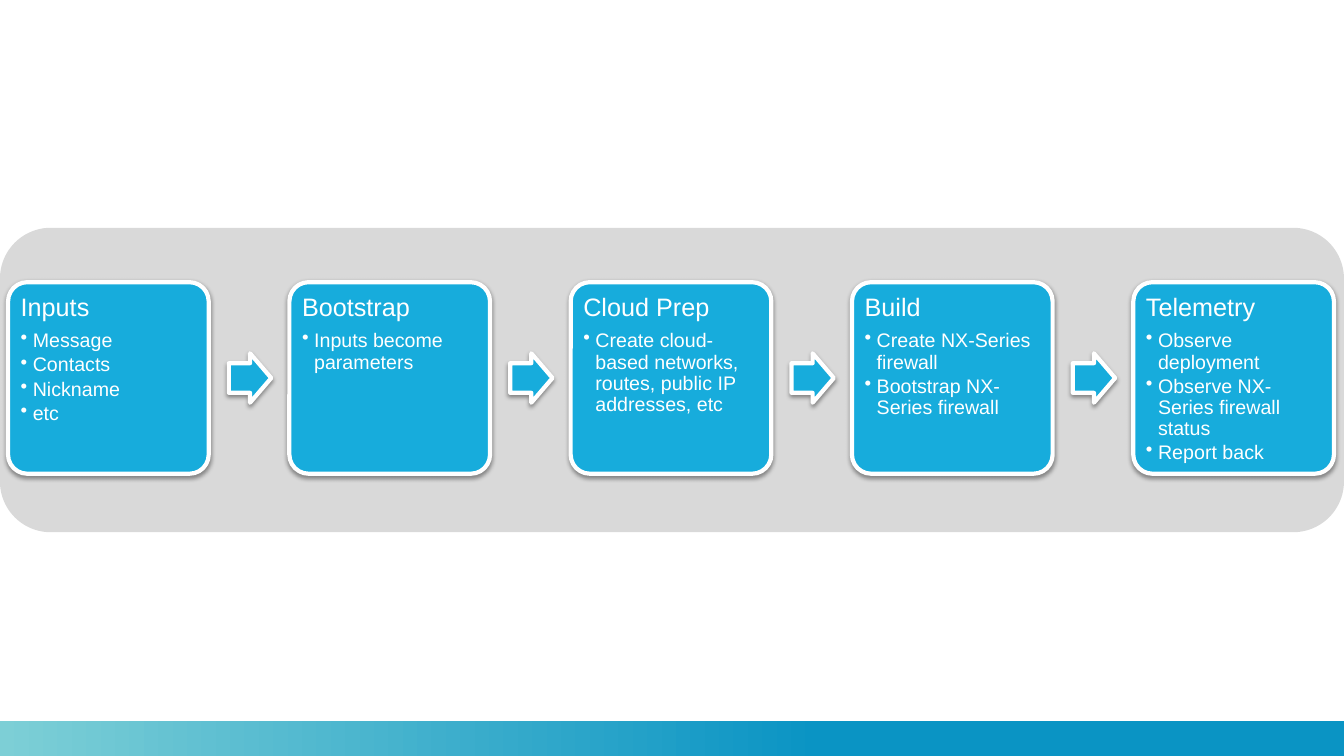
from lxml import etree
from pptx import Presentation
from pptx.dml.color import RGBColor
from pptx.enum.shapes import MSO_SHAPE
from pptx.enum.text import MSO_ANCHOR, PP_ALIGN
from pptx.oxml.ns import qn
from pptx.util import Inches, Pt

ROUNDED = MSO_SHAPE.ROUNDED_RECTANGLE
RECTANGLE = MSO_SHAPE.RECTANGLE
RIGHT_ARROW = MSO_SHAPE.RIGHT_ARROW
TOP = MSO_ANCHOR.TOP
LEFT = PP_ALIGN.LEFT

FONT = "Arial"
WHITE, BLUE, GREY = "FFFFFF", "17ACDC", "D9D9D9"
FOOTER_DARK, FOOTER_LIGHT = "0A94C4", "7DCFD6"
SLIDE_WIDTH, SLIDE_HEIGHT = 13.33, 7.5

STEPS = [
    ("Inputs", ["Message", "Contacts", "Nickname", "etc"]),
    ("Bootstrap", ["Inputs become parameters"]),
    ("Cloud Prep", ["Create cloud-based networks, routes, public IP addresses, etc"]),
    ("Build", ["Create NX-Series firewall", "Bootstrap NX-Series firewall"]),
    ("Telemetry", ["Observe deployment", "Observe NX-Series firewall status", "Report back"]),
]


def color(hex_string):
    return RGBColor.from_string(hex_string)


def add_plain_shape(slide, kind, left, top, width, height, fill=None):
    shape = slide.shapes.add_shape(
        kind, Inches(left), Inches(top), Inches(width), Inches(height))
    shape.shadow.inherit = False
    shape.line.fill.background()
    if fill:
        shape.fill.solid()
        shape.fill.fore_color.rgb = color(fill)
    return shape


def add_raised_shape(slide, kind, left, top, width, height):
    """Blue shape with a white outline and a soft shadow below."""
    shape = add_plain_shape(slide, kind, left, top, width, height, BLUE)
    shape.line.color.rgb = color(WHITE)
    shape.line.width = Pt(3)
    effects = shape._element.spPr.find(qn("a:effectLst"))
    shadow = etree.SubElement(
        effects, qn("a:outerShdw"), blurRad=str(Pt(3.1)), dist=str(Pt(1.6)),
        dir="5400000", rotWithShape="0")
    shadow_color = etree.SubElement(shadow, qn("a:srgbClr"), val="000000")
    etree.SubElement(shadow_color, qn("a:alpha"), val="38000")
    return shape


def format_paragraph(paragraph, size, space_after):
    paragraph.alignment = LEFT
    paragraph.line_spacing = 0.9
    paragraph.space_after = Pt(space_after)
    for run in paragraph.runs:
        run.font.name = FONT
        run.font.size = Pt(size)
        run.font.color.rgb = color(WHITE)


def add_bullet(paragraph):
    paragraph.level = 1
    properties = paragraph._p.get_or_add_pPr()
    properties.set("marL", str(Inches(0.12)))
    properties.set("indent", str(-Inches(0.12)))
    etree.SubElement(properties, qn("a:buChar"), char="•")


def add_card(slide, left, top, width, height, heading, items):
    card = add_raised_shape(slide, ROUNDED, left, top, width, height)
    card.adjustments[0] = 0.1
    frame = card.text_frame
    frame.word_wrap = True
    frame.vertical_anchor = TOP
    frame.margin_left = frame.margin_right = Inches(0.07)
    frame.margin_top = frame.margin_bottom = Inches(0.07)
    frame.text = heading
    format_paragraph(frame.paragraphs[0], 18, 6.3)
    for item in items:
        paragraph = frame.add_paragraph()
        paragraph.text = item
        format_paragraph(paragraph, 14, 2.1)
        add_bullet(paragraph)


def add_process(slide, left, top, width, height):
    """Grey band with one card per step and arrows between the cards."""
    add_plain_shape(slide, ROUNDED, left, top, width, height, GREY)
    card_width, card_height, pitch = 1.99, 1.9, 2.79
    arrow_width, arrow_height, arrow_gap = 0.42, 0.49, 0.2
    card_top = top + 0.54
    arrow_top = card_top + (card_height - arrow_height) / 2
    for index, (heading, items) in enumerate(STEPS):
        card_left = left + 0.08 + index * pitch
        add_card(slide, card_left, card_top, card_width, card_height, heading, items)
        if index < len(STEPS) - 1:
            arrow = add_raised_shape(
                slide, RIGHT_ARROW, card_left + card_width + arrow_gap, arrow_top,
                arrow_width, arrow_height)
            arrow.adjustments[0] = 0.6
            arrow.adjustments[1] = 0.5


def add_footer(slide, left, top, width, height):
    """Gradient strip, light at the left."""
    footer = add_plain_shape(slide, RECTANGLE, left, top, width, height)
    footer.fill.gradient()
    footer.fill.gradient_angle = 180
    stops = [(0.39, FOOTER_DARK), (1, FOOTER_LIGHT)]
    for stop, (position, shade) in zip(footer.fill.gradient_stops, stops):
        stop.position = position
        stop.color.rgb = color(shade)


def main():
    presentation = Presentation()
    presentation.slide_width = Inches(SLIDE_WIDTH)
    presentation.slide_height = Inches(SLIDE_HEIGHT)
    slide = presentation.slides.add_slide(presentation.slide_layouts[6])
    add_footer(slide, 0, 7.15, SLIDE_WIDTH, 0.35)
    add_process(slide, 0, 2.26, SLIDE_WIDTH, 3.02)
    presentation.save("out.pptx")


if __name__ == "__main__":
    main()
